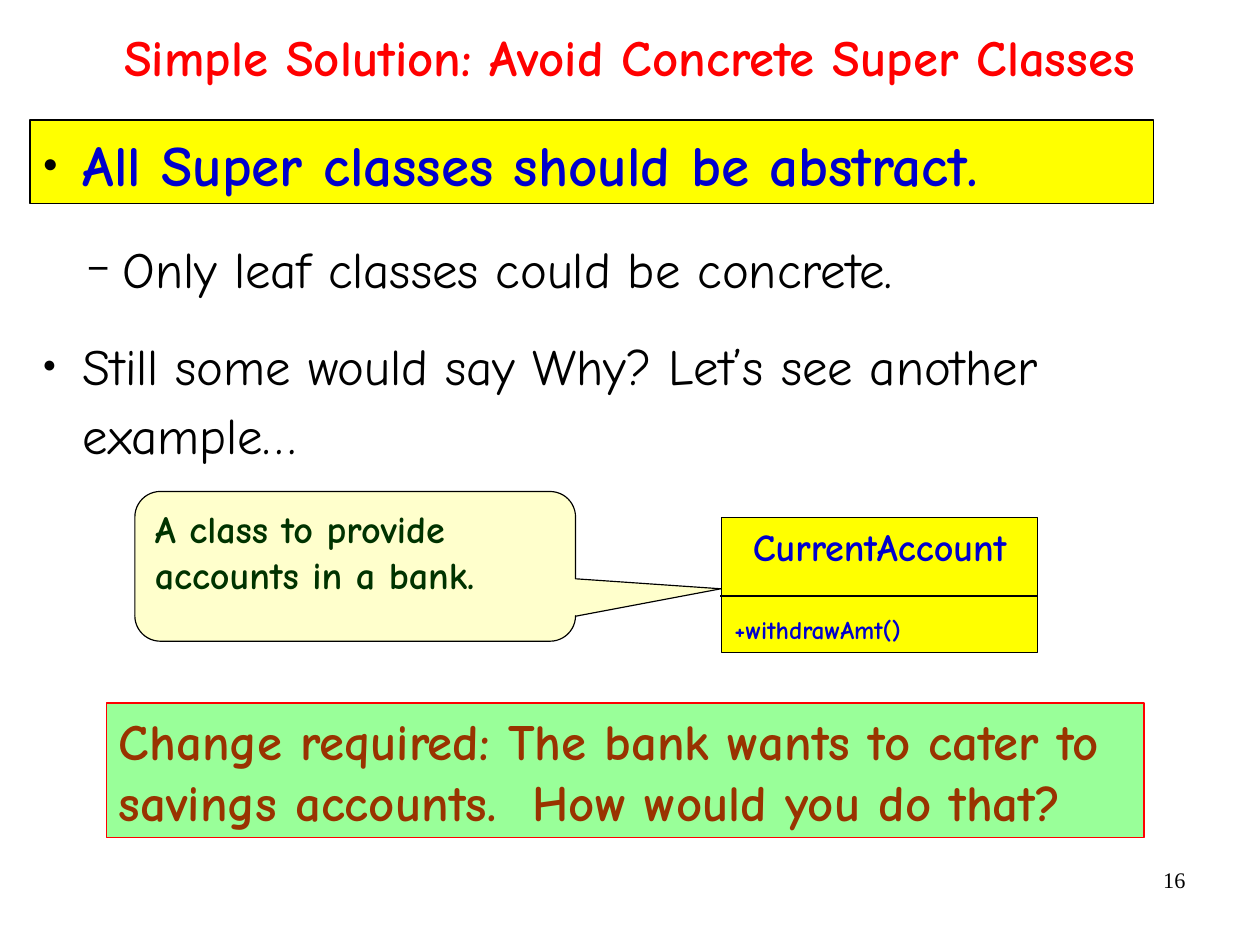
import pptx
import pptx.util
import pptx.dml.color
import pptx.enum.shapes
import pptx.enum.text
from lxml import etree

Pt = pptx.util.Pt
RGB = pptx.dml.color.RGBColor
SHAPE = pptx.enum.shapes.MSO_SHAPE
ALIGN = pptx.enum.text.PP_ALIGN
ANCHOR = pptx.enum.text.MSO_ANCHOR
NO_FIT = pptx.enum.text.MSO_AUTO_SIZE.NONE

BLACK = RGB(0, 0, 0)
RED = RGB(0xFF, 0, 0)
YELLOW = RGB(0xFF, 0xFF, 0)
BLUE = RGB(0, 0, 0xCC)
GREEN = RGB(0x99, 0xFF, 0x99)
BROWN = RGB(0x99, 0x33, 0)
CREAM = RGB(0xFF, 0xFF, 0xCC)
DARK_GREEN = RGB(0, 0x33, 0)

TITLE = "Simple Solution: Avoid Concrete Super Classes"
BODY = [
    (0, "All Super classes should be abstract.", dict(size=36, color=BLUE, bold=True)),
    (1, "Only leaf classes could be concrete.", dict(size=32)),
    (0, "Still some would say Why? Let’s see another example…", dict(size=32)),
]
LEVELS = [
    dict(char="●", pct=45, left=33.1, hang=25.2, after=13.8),
    dict(char="−", pct=75, left=58.3, hang=22.3, after=10.9),
]
CALLOUT = "A class to provide accounts in a bank."
CLASS_NAME, METHOD = "CurrentAccount", "+withdrawAmt()"
CHANGE = "Change required: The bank wants to cater to savings accounts.  How would you do that?"
PAGE = "16"

WIDTH, HEIGHT = 793.7, 595.28
HEAD = 75.6
MARGIN = 18.9
CLASS_BOX = (454.7, 325.8, 198.8, 85)
DIVIDER_Y = 375.5


def put_text(p, text, size=24, color=BLACK, bold=False, font="Comic Neue",
             align=ALIGN.LEFT, before=0, after=0, spacing=1.0):
    p.alignment = align
    p.space_before, p.space_after = Pt(before), Pt(after)
    p.line_spacing = spacing
    r = p.add_run()
    r.text = text
    r.font.size, r.font.name, r.font.bold = Pt(size), font, bold
    r.font.color.rgb = color


def set_frame(sp, x=0, y=0, anchor=ANCHOR.TOP):
    tf = sp.text_frame
    tf.word_wrap = True
    tf.auto_size = NO_FIT
    tf.vertical_anchor = anchor
    tf.margin_left = tf.margin_right = Pt(x)
    tf.margin_top = tf.margin_bottom = Pt(y)
    return tf


def place(sp, x, y, w, h):
    sp.left, sp.top, sp.width, sp.height = Pt(x), Pt(y), Pt(w), Pt(h)


def add_box(s, kind, box, fill, line=BLACK):
    sp = s.shapes.add_shape(kind, *map(Pt, box))
    sp.shadow.inherit = False
    sp.fill.solid()
    sp.fill.fore_color.rgb = fill
    sp.line.color.rgb = line
    sp.line.width = Pt(0.75)
    return sp, set_frame(sp, 7.9, 4)


def add_bullet(p, level):
    p.level = level
    style = LEVELS[level]
    pPr = p._p.get_or_add_pPr()
    pPr.set("marL", str(Pt(style["left"])))
    pPr.set("indent", str(-Pt(style["hang"])))
    ns = pptx.oxml.ns.qn
    clr = etree.SubElement(pPr, ns("a:buClr"))
    etree.SubElement(clr, ns("a:srgbClr"), val=str(BLACK))
    etree.SubElement(pPr, ns("a:buSzPct"), val=str(style["pct"] * 1000))
    etree.SubElement(pPr, ns("a:buChar"), char=style["char"])
    return style["after"]


def main():
    prs = pptx.Presentation()
    prs.slide_width, prs.slide_height = Pt(WIDTH), Pt(HEIGHT)
    s = prs.slides.add_slide(prs.slide_layouts[1])
    title, body = s.placeholders

    place(title, 0, 0, WIDTH, HEAD)
    tf = set_frame(title, anchor=ANCHOR.MIDDLE)
    put_text(tf.paragraphs[0], TITLE, size=32, color=RED, bold=True,
             align=ALIGN.CENTER, spacing=0.88)

    banner, _ = add_box(s, SHAPE.RECTANGLE, (MARGIN, HEAD, 707.76, 52.56), YELLOW)
    title.element.addprevious(banner.element)

    place(body, MARGIN, HEAD, 756, 450)
    tf = set_frame(body)
    for i, (level, text, style) in enumerate(BODY):
        p = tf.add_paragraph() if i else tf.paragraphs[0]
        after = add_bullet(p, level)
        put_text(p, text, before=6 if i else 0, after=after, spacing=1.14, **style)

    _, tf = add_box(s, SHAPE.RECTANGLE, (66.96, 442.8, 653.76, 84.96), GREEN, RED)
    put_text(tf.paragraphs[0], CHANGE, size=32, color=BROWN, bold=True)

    sp, tf = add_box(s, SHAPE.ROUNDED_RECTANGULAR_CALLOUT,
                     (84.96, 309.6, 277.6, 94.32), CREAM)
    for i, value in enumerate((0.83, 0.15, 0.17)):
        sp.adjustments[i] = value
    put_text(tf.paragraphs[0], CALLOUT, color=DARK_GREEN, bold=True)

    _, tf = add_box(s, SHAPE.RECTANGLE, CLASS_BOX, YELLOW)
    put_text(tf.paragraphs[0], CLASS_NAME, color=BLUE, bold=True, align=ALIGN.CENTER)
    put_text(tf.add_paragraph(), METHOD, size=16, color=BLUE, bold=True, before=28)

    x, _, w, _ = CLASS_BOX
    line = s.shapes.add_connector(pptx.enum.shapes.MSO_CONNECTOR.STRAIGHT,
                                  Pt(x - 1), Pt(DIVIDER_Y), Pt(x + w), Pt(DIVIDER_Y))
    line.line.color.rgb = BLACK
    line.line.width = Pt(0.75)
    etree.SubElement(line.element.spPr, pptx.oxml.ns.qn("a:effectLst"))

    number = s.shapes.add_textbox(Pt(568.8), Pt(541.9), Pt(185.04), Pt(41.04))
    tf = set_frame(number, 7.2, 3.6)
    put_text(tf.paragraphs[0], PAGE, size=14, font="Times New Roman", align=ALIGN.RIGHT)

    prs.save("out.pptx")


if __name__ == "__main__":
    main()
